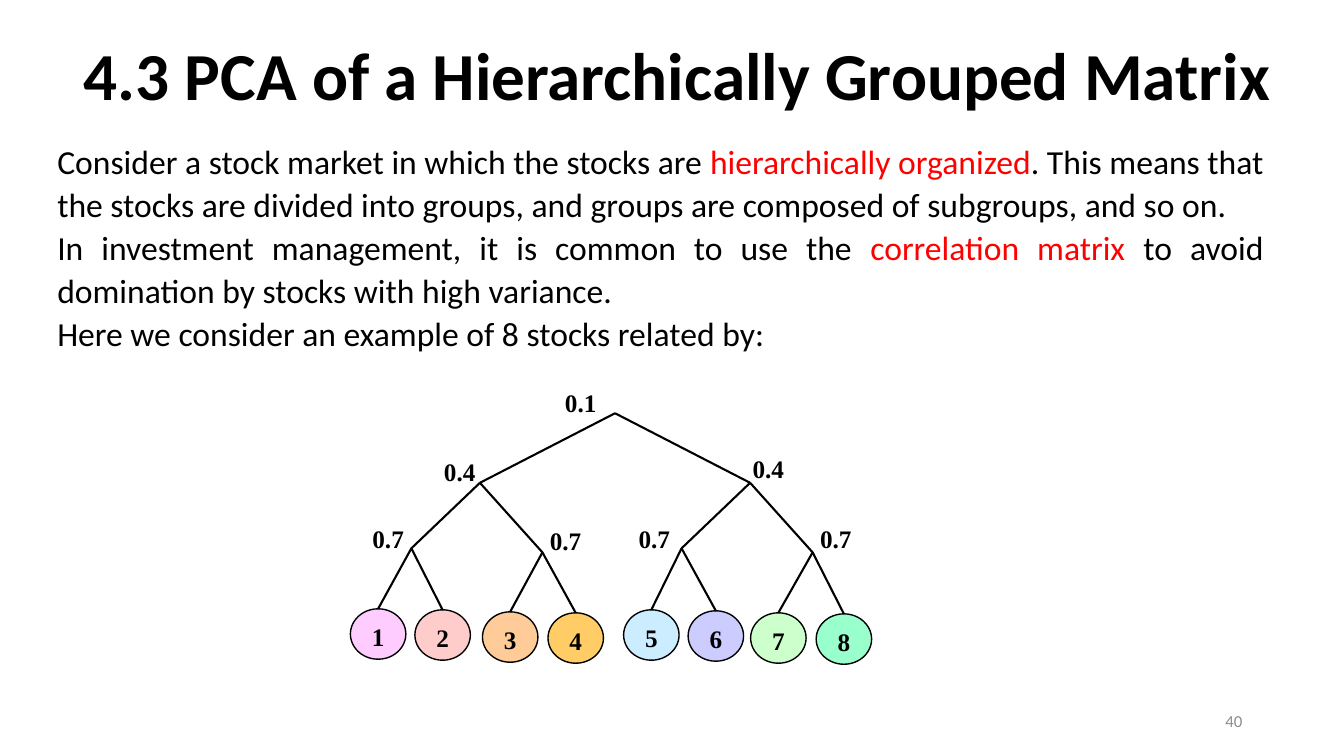
import pptx
import pptx.dml.color
import pptx.enum.shapes
import pptx.enum.text
import pptx.oxml.ns
import pptx.util
import lxml.etree

Inches = pptx.util.Inches
RGBColor = pptx.dml.color.RGBColor
ALIGN = pptx.enum.text.PP_ALIGN
ANCHOR = pptx.enum.text.MSO_ANCHOR

BLACK = RGBColor(0x00, 0x00, 0x00)
RED = RGBColor(0xFF, 0x00, 0x00)
GRAY = RGBColor(0x8C, 0x8C, 0x8C)
STOCK_COLORS = [
    RGBColor(0xFF, 0xCC, 0xFF), RGBColor(0xFF, 0xCC, 0xCC),
    RGBColor(0xFF, 0xCC, 0x99), RGBColor(0xFF, 0xCC, 0x66),
    RGBColor(0xCC, 0xEC, 0xFF), RGBColor(0xCC, 0xCC, 0xFF),
    RGBColor(0xCC, 0xFF, 0xCC), RGBColor(0x99, 0xFF, 0xCC),
]

TITLE_FONT = {"name": "Calibri", "size": pptx.util.Pt(48), "bold": True}
BODY_FONT = {"name": "Calibri", "size": pptx.util.Pt(24)}
NUMBER_FONT = {"name": "Calibri", "size": pptx.util.Pt(12)}
TREE_FONT = {"name": "Times New Roman", "size": pptx.util.Pt(18), "bold": True}

BODY = [
    [("Consider a stock market in which the stocks are ", BLACK),
     ("hierarchically organized", RED),
     (". This means that the stocks are divided into groups, and groups are "
      "composed of subgroups, and so on.", BLACK)],
    [("In investment management, it is common to use the ", BLACK),
     ("correlation matrix ", RED),
     ("to avoid domination by stocks with high variance.", BLACK)],
    [("Here we consider an example of 8 stocks related by:", BLACK)],
]

# Branch points level by level: correlation, x, y, label offset x and y.
BRANCHES = [
    ("0.1", 2.62, 0.32, -0.64, -0.32),
    ("0.4", 1.28, 1.01, -0.50, -0.33),
    ("0.4", 3.96, 1.01, -0.12, -0.36),
    ("0.7", 0.60, 1.66, -0.53, -0.31),
    ("0.7", 1.90, 1.70, -0.07, -0.33),
    ("0.7", 3.28, 1.66, -0.57, -0.31),
    ("0.7", 4.58, 1.70, -0.07, -0.35),
]
# Top centre of each stock's ellipse.
STOCKS = [(0.27, 2.26), (0.91, 2.27), (1.58, 2.29), (2.23, 2.30),
          (2.98, 2.27), (3.62, 2.28), (4.24, 2.30), (4.89, 2.31)]
STOCK_WIDTH, STOCK_HEIGHT = 0.55, 0.5


def set_values(target, values):
    for name, value in values.items():
        setattr(target, name, value)


def add_span(para, text, font, color):
    span = para.add_run()
    span.text = text
    set_values(span.font, font)
    span.font.color.rgb = color


def add_title(page, left, top, width, height):
    title = page.shapes.title
    set_values(title, {"left": Inches(left), "top": Inches(top),
                       "width": Inches(width), "height": Inches(height)})
    set_values(title.text_frame, {"vertical_anchor": ANCHOR.BOTTOM, "word_wrap": True,
                                  "auto_size": pptx.enum.text.MSO_AUTO_SIZE.NONE})
    para = title.text_frame.paragraphs[0]
    set_values(para, {"alignment": ALIGN.CENTER, "line_spacing": 0.9})
    add_span(para, "4.3 PCA of a Hierarchically Grouped Matrix", TITLE_FONT, BLACK)


def add_body(page, left, top, width, height):
    box = page.shapes.add_textbox(Inches(left), Inches(top), Inches(width), Inches(height))
    frame = box.text_frame
    frame.word_wrap = True
    for index, spans in enumerate(BODY):
        para = frame.add_paragraph() if index else frame.paragraphs[0]
        set_values(para, {"alignment": ALIGN.JUSTIFY, "line_spacing": 1.07})
        for text, color in spans:
            add_span(para, text, BODY_FONT, color)


def add_page_number(page, left, top, width, height):
    box = page.shapes.add_textbox(Inches(left), Inches(top), Inches(width), Inches(height))
    set_values(box.text_frame, {"word_wrap": True, "vertical_anchor": ANCHOR.MIDDLE})
    para = box.text_frame.paragraphs[0]
    para.alignment = ALIGN.RIGHT
    add_span(para, "40", NUMBER_FONT, GRAY)


def add_stock(tree, center, top, number, color):
    stock = tree.shapes.add_shape(
        pptx.enum.shapes.MSO_SHAPE.OVAL, Inches(center - STOCK_WIDTH / 2), Inches(top),
        Inches(STOCK_WIDTH), Inches(STOCK_HEIGHT))
    stock.shadow.inherit = False
    stock.fill.solid()
    stock.fill.fore_color.rgb = color
    stock.line.color.rgb = BLACK
    stock.line.width = pptx.util.Pt(1)
    set_values(stock.text_frame, {
        "margin_left": 0, "margin_right": 0, "margin_top": Inches(0.05),
        "margin_bottom": 0, "vertical_anchor": ANCHOR.MIDDLE})
    para = stock.text_frame.paragraphs[0]
    para.alignment = ALIGN.CENTER
    add_span(para, str(number), TREE_FONT, BLACK)


def add_edge(tree, start, end):
    edge = tree.shapes.add_connector(
        pptx.enum.shapes.MSO_CONNECTOR.STRAIGHT,
        *(Inches(length) for length in (*start, *end)))
    edge.line.color.rgb = BLACK
    edge.line.width = pptx.util.Pt(1.5)
    lxml.etree.SubElement(edge._element.spPr, pptx.oxml.ns.qn("a:effectLst"))


def add_correlation(tree, left, top, text):
    box = tree.shapes.add_textbox(Inches(left), Inches(top), Inches(0.6), Inches(0.4))
    box.text_frame.word_wrap = True
    para = box.text_frame.paragraphs[0]
    set_values(para, {"alignment": ALIGN.CENTER, "line_spacing": 1.05})
    add_span(para, text, TREE_FONT, BLACK)


def add_tree(page, left, top):
    """Draw the binary tree; node i has children 2i + 1 and 2i + 2."""
    tree = page.shapes.add_group_shape()
    nodes = [(left + x, top + y) for _, x, y, _, _ in BRANCHES]
    nodes += [(left + x, top + y) for x, y in STOCKS]
    stock_nodes = nodes[len(BRANCHES):]
    for number, ((x, y), color) in enumerate(zip(stock_nodes, STOCK_COLORS), 1):
        add_stock(tree, x, y, number, color)
    for index in range(1, len(nodes)):
        add_edge(tree, nodes[(index - 1) // 2], nodes[index])
    for (x, y), (text, _, _, shift_x, shift_y) in zip(nodes, BRANCHES):
        add_correlation(tree, x + shift_x, y + shift_y, text)


def main():
    deck = pptx.Presentation()
    deck.slide_width, deck.slide_height = Inches(13.33), Inches(7.5)
    page = deck.slides.add_slide(deck.slide_layouts.get_by_name("Title Only"))
    add_title(page, 0.4, 0.19, 12.64, 1)
    add_page_number(page, 9.42, 6.95, 3, 0.4)
    add_body(page, 0.47, 1.32, 12.16, 2.24)
    add_tree(page, 3.48, 3.78)
    deck.save("out.pptx")


if __name__ == "__main__":
    main()
